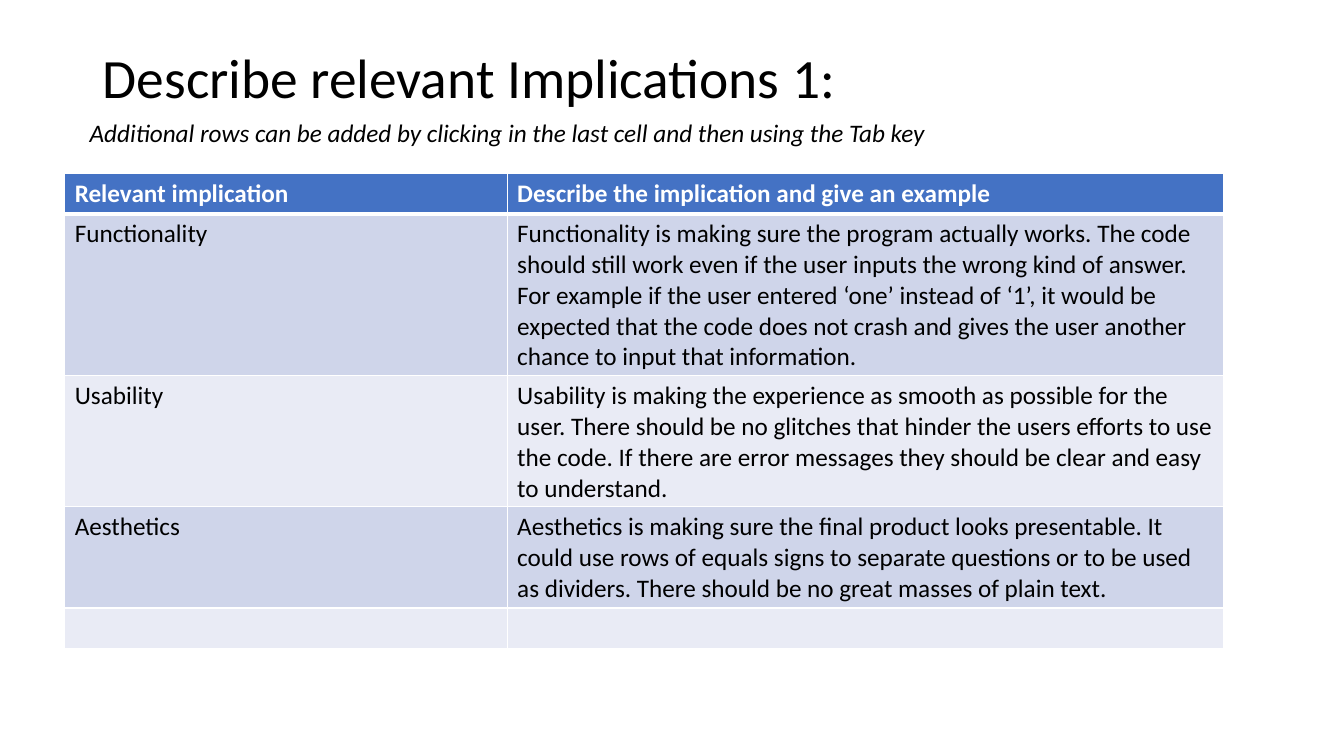
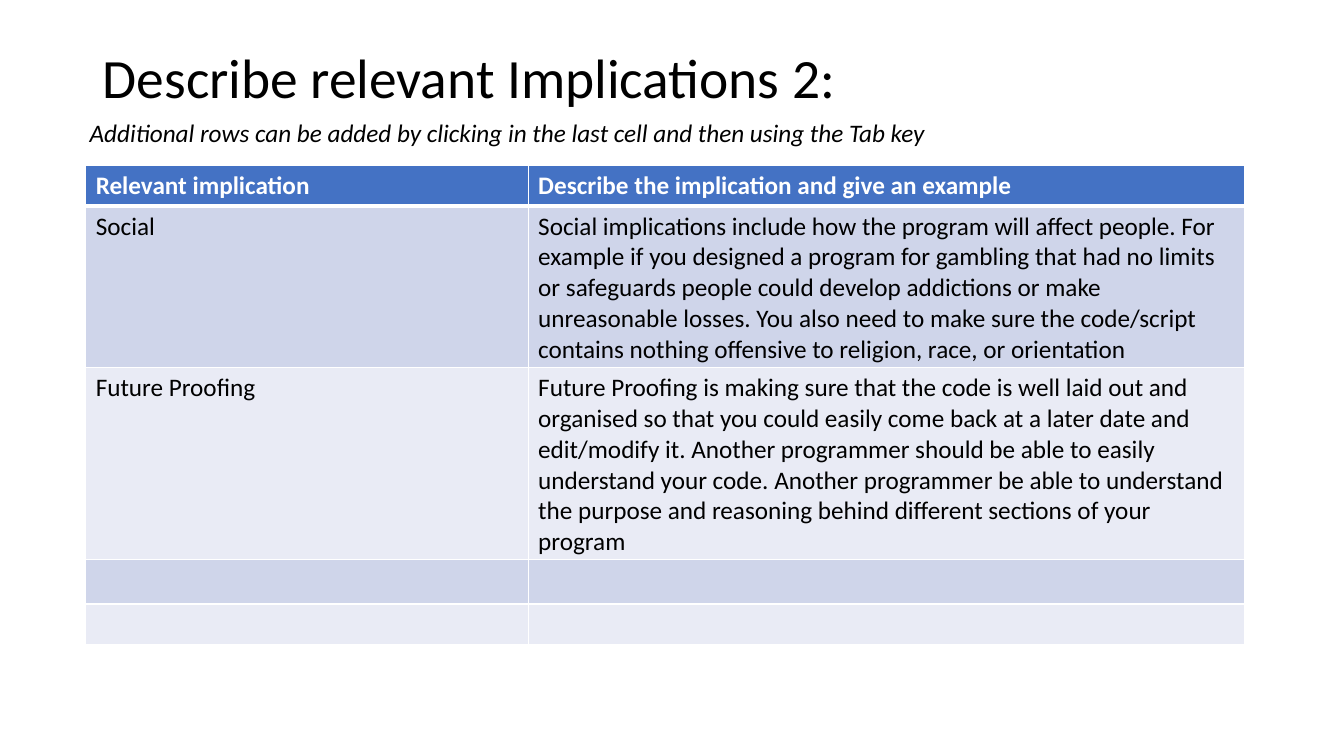
from lxml import etree
from pptx import Presentation
from pptx.dml.color import RGBColor
from pptx.enum.text import MSO_ANCHOR
from pptx.oxml.ns import qn
from pptx.util import Cm, Pt

MIDDLE = MSO_ANCHOR.MIDDLE
FONT = "Calibri"
BLACK, WHITE, BLUE = "000000", "FFFFFF", "4472C4"
BANDS = ("CFD5EA", "E9EBF5")
WIDTHS = (11.15, 18.06)
HINT = "Additional rows can be added by clicking in the last cell and then using the Tab key"
HEAD = ("Relevant implication", "Describe the implication and give an example")

SLIDES = [
    {
        "title": "Describe relevant Implications 1:",
        "at": (1.63, 4.37),
        "heights": (1.02, 4.08, 3.3, 2.55, 1.02),
        "rows": [
            ("Functionality", "Functionality is making sure the program actually works. The code should still work even if the user inputs the wrong kind of answer. For example if the user entered ‘one’ instead of ‘1’, it would be expected that the code does not crash and gives the user another chance to input that information."),
            ("Usability", "Usability is making the experience as smooth as possible for the user. There should be no glitches that hinder the users efforts to use the code. If there are error messages they should be clear and easy to understand."),
            ("Aesthetics", "Aesthetics is making sure the final product looks presentable. It could use rows of equals signs to separate questions or to be used as dividers. There should be no great masses of plain text."),
            ("", ""),
        ],
    },
    {
        "title": "Describe relevant Implications 2:",
        "at": (2.16, 4.17),
        "heights": (1.02, 4.08, 4.83, 1.12, 1.02),
        "rows": [
            ("Social", "Social implications include how the program will affect people. For example if you designed a program for gambling that had no limits or safeguards people could develop addictions or make unreasonable losses. You also need to make sure the code/script contains nothing offensive to religion, race, or orientation"),
            ("Future Proofing", "Future Proofing is making sure that the code is well laid out and organised so that you could easily come back at a later date and edit/modify it. Another programmer should be able to easily understand your code. Another programmer be able to understand the purpose and reasoning behind different sections of your program"),
            ("", ""),
            ("", ""),
        ],
    },
]


def rgb(code):
    return RGBColor.from_string(code)


def add_run(para, text, size=18, color=BLACK, bold=False, italic=False):
    run = para.add_run()
    run.text = text
    font = run.font
    font.name, font.size = FONT, Pt(size)
    font.bold, font.italic = bold, italic
    font.color.rgb = rgb(color)


def add_box(slide, place):
    frame = slide.shapes.add_textbox(*map(Cm, place)).text_frame
    frame.word_wrap = True
    return frame


def add_edges(cell, row):
    props = cell._tc.get_or_add_tcPr()
    thick = {0: "lnB", 1: "lnT"}.get(row)
    for side in ("lnL", "lnR", "lnT", "lnB"):
        width = Pt(3 if side == thick else 1)
        line = etree.SubElement(props, qn("a:" + side), w=str(width))
        fill = etree.SubElement(line, qn("a:solidFill"))
        etree.SubElement(fill, qn("a:srgbClr"), val=WHITE)


def add_grid(slide, place, heights, rows):
    size = sum(WIDTHS), sum(heights)
    table = slide.shapes.add_table(
        len(rows), len(WIDTHS), *map(Cm, place + size)
    ).table
    table.horz_banding = False
    for col, width in zip(table.columns, WIDTHS):
        col.width = Cm(width)
    for r, (height, texts) in enumerate(zip(heights, rows)):
        table.rows[r].height = Cm(height)
        head = r == 0
        for c, text in enumerate(texts):
            cell = table.cell(r, c)
            add_edges(cell, r)
            cell.fill.solid()
            cell.fill.fore_color.rgb = rgb(BLUE if head else BANDS[(r - 1) % 2])
            if text:
                add_run(cell.text_frame.paragraphs[0], text,
                        color=WHITE if head else BLACK, bold=head)


def add_page(deck, page):
    slide = deck.slides.add_slide(deck.slide_layouts[6])
    title = add_box(slide, (2.34, 1.02, 29.21, 1.55))
    title.vertical_anchor = MIDDLE
    para = title.paragraphs[0]
    para.line_spacing = 1.15
    add_run(para, page["title"], size=39.6)
    hint = add_box(slide, (2.01, 2.84, 27.79, 1.02))
    add_run(hint.paragraphs[0], HINT, italic=True)
    add_grid(slide, page["at"], page["heights"], [HEAD] + page["rows"])


def main():
    deck = Presentation()
    deck.slide_width, deck.slide_height = Cm(33.87), Cm(19.05)
    for page in SLIDES:
        add_page(deck, page)
    deck.save("out.pptx")


if __name__ == "__main__":
    main()
